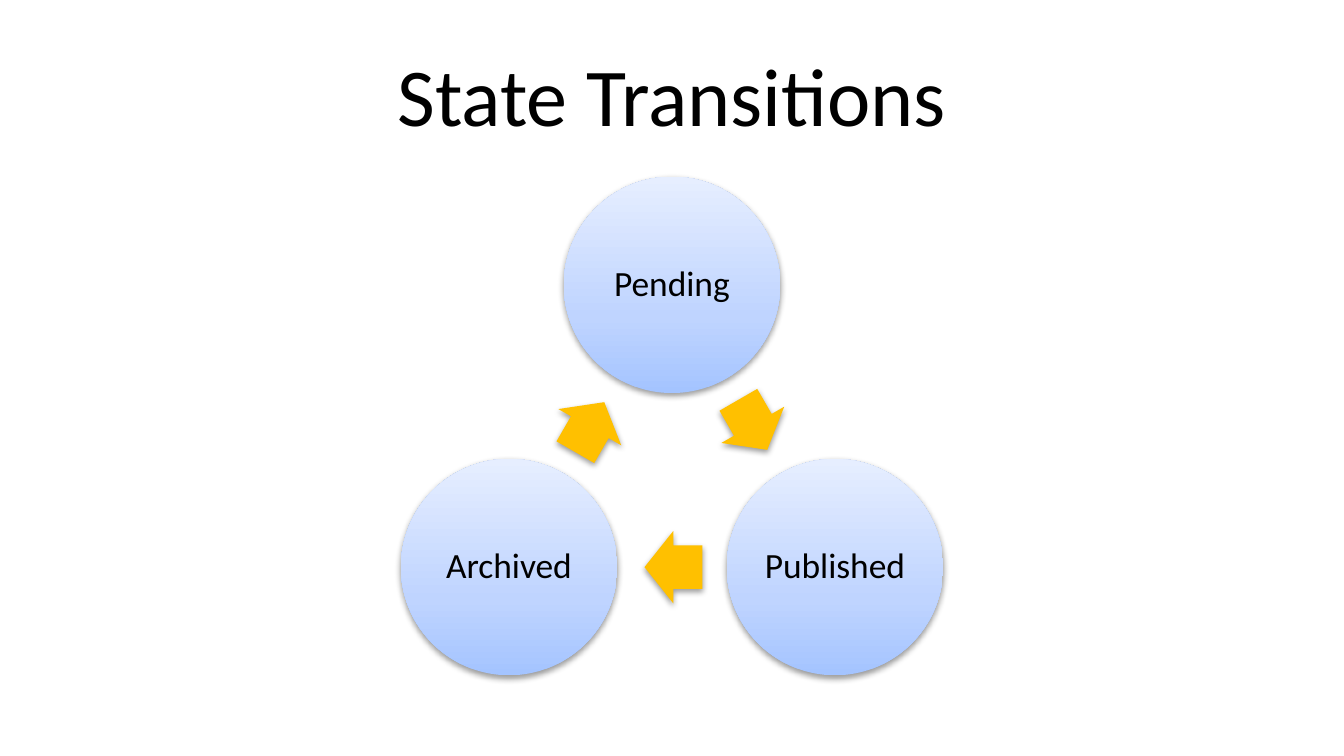
"""Build the State Transitions slide: three states in a cycle."""
from math import cos, radians, sin

from lxml.etree import SubElement
from pptx import Presentation
from pptx.dml.color import RGBColor
from pptx.enum.shapes import MSO_SHAPE
from pptx.enum.text import MSO_ANCHOR, PP_ALIGN
from pptx.oxml import parse_xml
from pptx.oxml.ns import nsdecls, qn
from pptx.util import Inches, Pt

THEME = {
    "font": "Calibri",
    "text": RGBColor.from_string("000000"),
    "arrow": RGBColor.from_string("FFC000"),
    "state": [(0, "A4C4FF"), (35, "BFD4FF"), (100, "E6EEFF")],
    "title_size": Pt(44),
    "state_size": Pt(19),
}
SHADOW = (
    f'<a:outerShdw {nsdecls("a")} blurRad="40000" dist="20000" dir="5400000" rotWithShape="0">'
    '<a:srgbClr val="000000"><a:alpha val="38000"/></a:srgbClr></a:outerShdw>'
)
CENTER_X, CENTER_Y, RADIUS = 5, 3.52, 1.4
STATE_SIZE = 1.61
ARROW_WIDTH, ARROW_HEIGHT, ARROW_LAG = 0.43, 0.54, 0.01
STATES = ["Pending", "Published", "Archived"]


def write(frame, text, size, **spacing):
    frame.text = text
    paragraph = frame.paragraphs[0]
    font = paragraph.runs[0].font
    font.color.rgb = THEME["text"]
    formats = [
        (frame, {"vertical_anchor": MSO_ANCHOR.MIDDLE, "word_wrap": True}),
        (paragraph, {"alignment": PP_ALIGN.CENTER, **spacing}),
        (font, {"name": THEME["font"], "size": size}),
    ]
    for target, values in formats:
        for key, value in values.items():
            setattr(target, key, value)


def add_part(preset, x, y, width, height):
    part = slide.shapes.add_shape(
        preset, Inches(x - width / 2), Inches(y - height / 2), Inches(width), Inches(height)
    )
    part.line.fill.background()
    part.shadow.inherit = False
    part.element.spPr.find(qn("a:effectLst")).append(parse_xml(SHADOW))
    return part


deck = Presentation()
deck.slide_width, deck.slide_height = Inches(10), Inches(10 * 9 / 16)
slide = deck.slides.add_slide(deck.slide_layouts[5])

title = slide.shapes.title
title_box = {"left": 0.5, "top": 0.23, "width": 9, "height": 0.94}
for side, length in title_box.items():
    setattr(title, side, Inches(length))
write(title.text_frame, "State Transitions", THEME["title_size"])

for index, name in enumerate(STATES):
    angle = radians(120 * index - 90)
    state = add_part(
        MSO_SHAPE.OVAL,
        CENTER_X + RADIUS * cos(angle),
        CENTER_Y + RADIUS * sin(angle),
        STATE_SIZE,
        STATE_SIZE,
    )
    state.fill.gradient()
    state.fill.gradient_angle = 90
    stops = state.element.spPr.find(qn("a:gradFill")).find(qn("a:gsLst"))
    for stop in list(stops):
        stops.remove(stop)
    for position, color in THEME["state"]:
        stop = SubElement(stops, qn("a:gs"), pos=str(position * 1000))
        SubElement(stop, qn("a:srgbClr"), val=color)
    for margin in ("left", "right", "top", "bottom"):
        setattr(state.text_frame, f"margin_{margin}", Inches(0.03))
    write(state.text_frame, name, THEME["state_size"], line_spacing=0.9)

    heading = 60 + 120 * index
    between = radians(heading - 90)
    arrow = add_part(
        MSO_SHAPE.RIGHT_ARROW,
        CENTER_X + RADIUS / 2 * cos(between) - ARROW_LAG * cos(radians(heading)),
        CENTER_Y + RADIUS / 2 * sin(between) - ARROW_LAG * sin(radians(heading)),
        ARROW_WIDTH,
        ARROW_HEIGHT,
    )
    arrow.rotation = heading
    arrow.adjustments[0], arrow.adjustments[1] = 0.6, 0.5
    arrow.fill.solid()
    arrow.fill.fore_color.rgb = THEME["arrow"]

deck.save("out.pptx")
